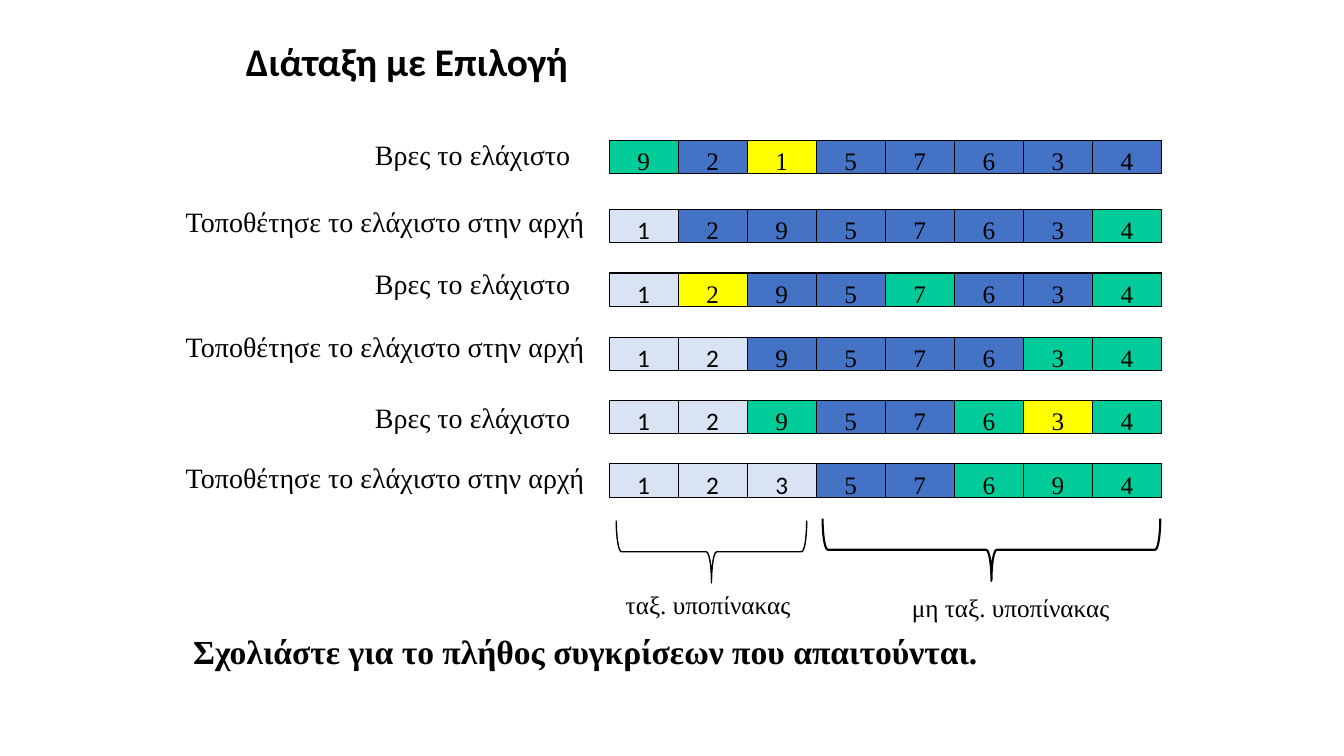
from pptx import Presentation
from pptx import util as u
from pptx.dml.color import RGBColor
from pptx.enum import shapes, text

SERIF, SANS = "Times New Roman", "Calibri"
BLACK = "000000"
# Cell states: Sorted, Unsorted, Minimum found, Compared
FILLS = {"S": "DAE3F3", "U": "4472C4", "M": "FFFF00", "C": "00CC99"}

FIND_MIN = ("Βρες το ελάχιστο", 9.2, 5.46)
PLACE_MIN = ("Τοποθέτησε το ελάχιστο στην αρχή", 4.43, 10.64)

# Step label, label top, array top, values, cell states
STEPS = [
    (FIND_MIN, 3.33, 3.53, "92157634", "CUMUUUUU"),
    (PLACE_MIN, 5.03, 5.28, "12957634", "SUUUUUUC"),
    (FIND_MIN, 6.6, 6.88, "12957634", "SMUUCUUC"),
    (PLACE_MIN, 8.18, 8.5, "12957634", "SSUUUUCC"),
    (FIND_MIN, 9.96, 10.09, "12957634", "SSCUUCMC"),
    (PLACE_MIN, 11.48, 11.69, "12357694", "SSSUUCCC"),
]
ARRAY_LEFT, CELL_WIDTH, CELL_HEIGHT = 15.35, 1.74, 0.84


def colour(hex_string):
    return RGBColor.from_string(hex_string)


class SlideBuilder:
    def __init__(self, slide):
        self.slide = slide

    def set_text(self, frame, words, size, font=SERIF, bold=False,
                 align=text.PP_ALIGN.LEFT):
        paragraph = frame.paragraphs[0]
        paragraph.text = words
        paragraph.alignment = align
        paragraph.font.name = font
        paragraph.font.size = u.Pt(size)
        paragraph.font.bold = bold
        paragraph.font.color.rgb = colour(BLACK)
        return paragraph

    def title(self, words, left, top, width, height):
        heading = self.slide.shapes.title
        heading.left, heading.top = u.Cm(left), u.Cm(top)
        heading.width, heading.height = u.Cm(width), u.Cm(height)
        heading.text_frame.vertical_anchor = text.MSO_ANCHOR.MIDDLE
        self.set_text(heading.text_frame, words, 28, SANS, True).line_spacing = 0.9

    def label(self, words, left, top, width, height, size, bold=False, wrap=False):
        box = self.slide.shapes.add_textbox(
            u.Cm(left), u.Cm(top), u.Cm(width), u.Cm(height))
        box.text_frame.word_wrap = wrap
        box.text_frame.auto_size = text.MSO_AUTO_SIZE.SHAPE_TO_FIT_TEXT
        self.set_text(box.text_frame, words, size, bold=bold)

    def outline(self, kind, left, top, width, height, weight):
        figure = self.slide.shapes.add_shape(
            kind, u.Cm(left), u.Cm(top), u.Cm(width), u.Cm(height))
        figure.shadow.inherit = False
        figure.line.color.rgb = colour(BLACK)
        figure.line.width = u.Pt(weight)
        return figure

    def cell(self, value, state, left, top):
        cell = self.outline(shapes.MSO_SHAPE.RECTANGLE, left, top,
                            CELL_WIDTH, CELL_HEIGHT, 0.75)
        cell.fill.solid()
        cell.fill.fore_color.rgb = colour(FILLS[state])
        cell.text_frame.vertical_anchor = text.MSO_ANCHOR.TOP
        self.set_text(cell.text_frame, value, 18, SANS if state == "S" else SERIF,
                      align=text.PP_ALIGN.CENTER)

    def array(self, values, states, top):
        for column, (value, state) in enumerate(zip(values, states)):
            self.cell(value, state, ARRAY_LEFT + column * CELL_WIDTH, top)

    def brace(self, left, top, width, height, weight):
        """Draw a brace pointing down that fills the given area."""
        brace = self.outline(
            shapes.MSO_SHAPE.RIGHT_BRACE, left + (width - height) / 2,
            top + (height - width) / 2, height, width, weight)
        brace.rotation = 90
        brace.fill.background()


def main():
    prs = Presentation()
    prs.slide_width, prs.slide_height = u.Cm(33.87), u.Cm(19.05)
    builder = SlideBuilder(prs.slides.add_slide(prs.slide_layouts[5]))

    builder.title("Διάταξη με Επιλογή", 5.94, 0.91, 21.59, 1.42)

    # Steps of the sort
    for (step, left, width), label_top, array_top, values, states in STEPS:
        builder.label(step, left, label_top, width, 1.12, 20)
        builder.array(values, states, array_top)

    # Sorted and unsorted parts
    builder.brace(15.53, 13.12, 4.8, 1.57, 1)
    builder.brace(20.73, 13.07, 8.51, 1.57, 1.5)
    builder.label("ταξ. υποπίνακας", 15.52, 14.73, 4.7, 1.02, 18)
    builder.label("μη ταξ. υποπίνακας", 22.73, 14.81, 6.5, 1.02, 18, wrap=True)

    # Closing question
    builder.label("Σχολιάστε για το πλήθος συγκρίσεων που απαιτούνται.",
                  4.62, 15.77, 20.5, 1.3, 24, bold=True)

    prs.save("out.pptx")


if __name__ == "__main__":
    main()
